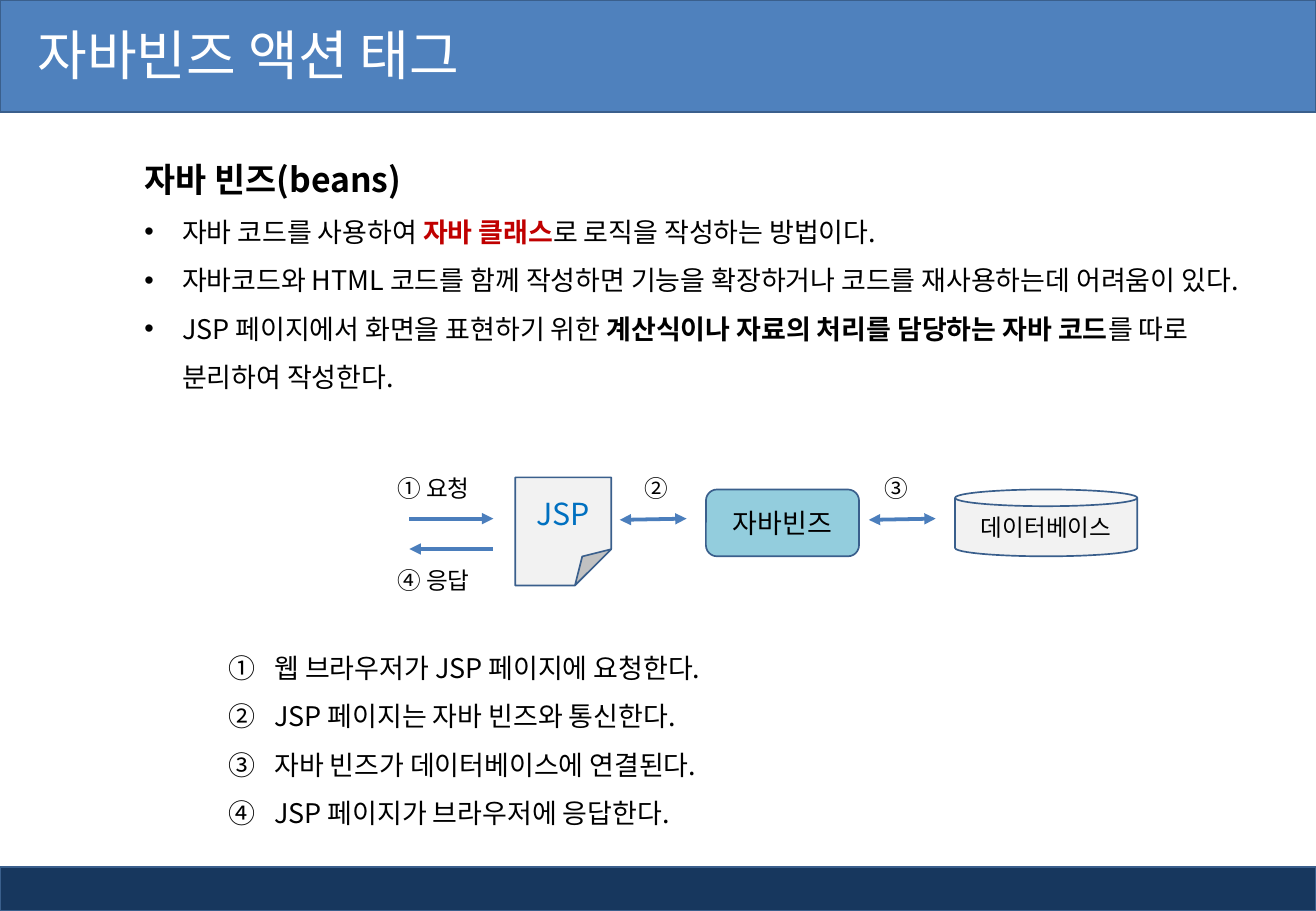
import pptx
import pptx.util
import pptx.dml.color
import pptx.enum.shapes
import pptx.enum.text
import pptx.oxml.ns
import lxml.etree

RGB = pptx.dml.color.RGBColor
KIND = pptx.enum.shapes.MSO_SHAPE
ALIGN = pptx.enum.text.PP_ALIGN
ANCHOR = pptx.enum.text.MSO_ANCHOR

SCALE = 9144
WIDE, HIGH = 1083, 750
FONT = "Noto Sans CJK KR"
BLACK = RGB(0x00, 0x00, 0x00)
WHITE = RGB(0xFF, 0xFF, 0xFF)
RED = RGB(0xC0, 0x00, 0x00)
AZURE = RGB(0x00, 0x70, 0xC0)
BLUE = RGB(0x4F, 0x81, 0xBD)
NAVY = RGB(0x17, 0x37, 0x5E)
EDGE = RGB(0x3A, 0x5F, 0x8C)
ARROW = RGB(0x4B, 0x7E, 0xBC)
GREY = RGB(0xF2, 0xF2, 0xF2)
AQUA = RGB(0x93, 0xCD, 0xDD)


def px(*sizes):
    return [pptx.util.Emu(size * SCALE) for size in sizes]


def child(parent, tag, **values):
    node = lxml.etree.SubElement(parent, pptx.oxml.ns.qn("a:" + tag))
    for key, value in values.items():
        node.set(key, value)


def write(para, runs, size, color=BLACK):
    """Add (text, format) runs to a paragraph."""
    for text, extra in runs:
        run = para.add_run()
        run.text = text
        look = {"name": FONT, "size": pptx.util.Pt(size), "bold": False}
        look.update(extra)
        tint = look.pop("color", color)
        for key, value in look.items():
            setattr(run.font, key, value)
        run.font.color.rgb = tint
        child(run.font._element, "ea", typeface=FONT)


def frame(slide, box):
    text = slide.shapes.add_textbox(*px(*box)).text_frame
    text.word_wrap = True
    return text


def label(slide, box, text):
    write(frame(slide, box).paragraphs[0], [(text, {})], 14)


def block(slide, kind, box, fill):
    shape = slide.shapes.add_shape(kind, *px(*box))
    shape.shadow.inherit = False
    shape.fill.solid()
    shape.fill.fore_color.rgb = fill
    shape.line.color.rgb = EDGE
    shape.line.width = pptx.util.Pt(1)
    return shape


def arrow(slide, start, end, *tips):
    """Draw a line with arrowheads; tips are headEnd, tailEnd or both."""
    line = slide.shapes.add_connector(
        pptx.enum.shapes.MSO_CONNECTOR.STRAIGHT, *px(*start, *end))
    line.line.color.rgb = ARROW
    line.line.width = pptx.util.Pt(2.25)
    for tip in tips:
        child(line.line._get_or_add_ln(), tip, type="triangle")
    child(line._element.spPr, "effectLst")


def item(para, runs, indent, bullet, **mark):
    """Fill a paragraph as a list item with a hanging indent."""
    para.line_spacing = 1.5
    props = para._p.get_or_add_pPr()
    (hang,) = px(indent)
    props.set("marL", str(hang))
    props.set("indent", str(-hang))
    child(props, "buFont", typeface="Arial" if bullet == "buChar" else FONT)
    child(props, bullet, **mark)
    write(para, runs, 16)


def title(slide, box):
    left, top, wide, high = box
    block(slide, KIND.RECTANGLE, box, BLUE)
    text = frame(slide, (left, top - 3, wide - 209, high + 2))
    text.vertical_anchor = ANCHOR.MIDDLE
    (text.margin_left,) = px(31)
    write(text.paragraphs[0], [("자바빈즈 액션 태그", {})], 32, WHITE)


def points(slide, box):
    text = frame(slide, box)
    head = text.paragraphs[0]
    head.line_spacing = 1.5
    write(head, [("자바 빈즈(beans)", {"bold": True})], 20)
    rows = [
        [("자바 코드를 사용하여 ", {}),
         ("자바 클래스", {"bold": True, "color": RED}),
         ("로 로직을 작성하는 방법이다.", {})],
        [("자바코드와 HTML 코드를 함께 작성하면 기능을 확장하거나 "
          "코드를 재사용하는데 어려움이 있다.", {})],
        [("JSP 페이지에서 화면을 표현하기 위한 ", {}),
         ("계산식이나 자료의 처리를 담당하는 자바 코드", {"bold": True}),
         ("를 따로 분리하여 작성한다.", {})],
    ]
    for runs in rows:
        item(text.add_paragraph(), runs, 31, "buChar", char="•")


def flow(slide, box):
    left, top, wide, high = box
    nodes = [
        (KIND.FOLDED_CORNER, 107, 8, 79, 89, GREY, "JSP", 18, AZURE),
        (KIND.ROUNDED_RECTANGLE, 264, 18, 126, 55, AQUA, "자바빈즈", 16, BLACK),
        (KIND.CAN, 469, 18, 150, 55, GREY, "데이터베이스", 14, BLACK),
    ]
    for kind, x, y, w, h, fill, text, size, color in nodes:
        node = block(slide, kind, (left + x, top + y, w, h), fill)
        if kind == KIND.FOLDED_CORNER:
            fold = node._element.spPr.find(".//" + pptx.oxml.ns.qn("a:avLst"))
            child(fold, "gd", name="adj", fmla="val 37800")
        node.text_frame.vertical_anchor = ANCHOR.MIDDLE
        para = node.text_frame.paragraphs[0]
        para.alignment = ALIGN.CENTER
        write(para, [(text, {})], size, color)

    for y, tip in ((42, "tailEnd"), (67, "headEnd")):
        arrow(slide, (left + 20, top + y), (left + 89, top + y), tip)
    for x in (193, 398):
        arrow(slide, (left + x, top + 43), (left + x + 55, top + 42),
              "headEnd", "tailEnd")

    for x, y, w, text in ((0, 0, 95, "① 요청"), (0, 76, 102, "④ 응답"),
                          (204, 0, 44, "②"), (401, 0, 44, "③")):
        label(slide, (left + x, top + y, w, 34), text)


def steps(slide, box):
    text = frame(slide, box)
    rows = ["웹 브라우저가 JSP 페이지에 요청한다.",
            "JSP 페이지는 자바 빈즈와 통신한다.",
            "자바 빈즈가 데이터베이스에 연결된다.",
            "JSP 페이지가 브라우저에 응답한다."]
    for index, row in enumerate(rows):
        para = text.add_paragraph() if index else text.paragraphs[0]
        item(para, [(row, {})], 38, "buAutoNum", type="circleNumDbPlain")


def main():
    deck = pptx.Presentation()
    deck.slide_width, deck.slide_height = px(WIDE, HIGH)
    slide = deck.slides.add_slide(deck.slide_layouts[6])
    block(slide, KIND.RECTANGLE, (0, HIGH - 36, WIDE, 36), NAVY)
    title(slide, (0, 0, WIDE, 92))
    points(slide, (109, 109, 953, 263))
    flow(slide, (317, 385, 619, 110))
    steps(slide, (178, 518, 683, 172))
    deck.save("out.pptx")


if __name__ == "__main__":
    main()
